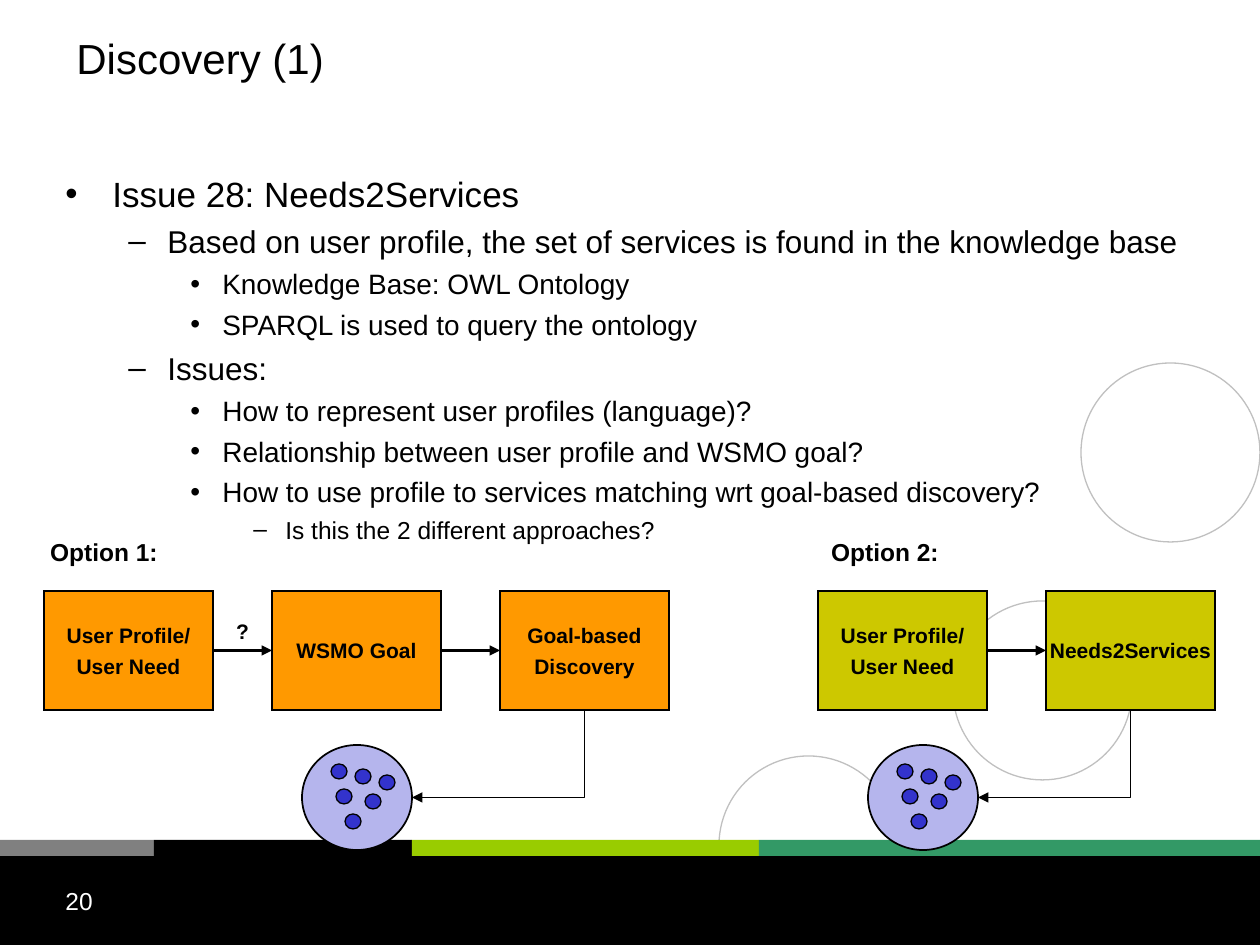
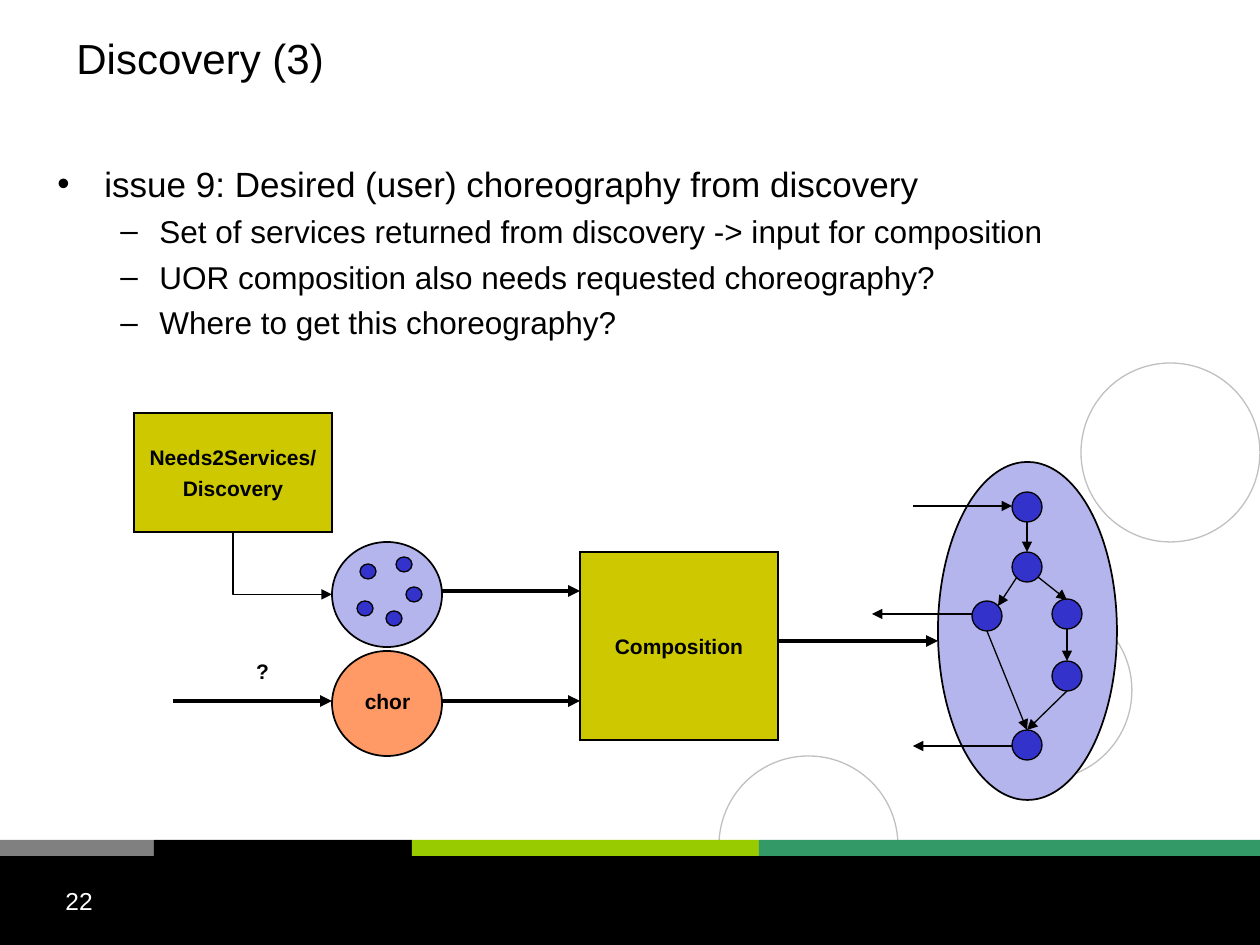
import pptx
import pptx.util
import pptx.dml.color
import pptx.enum.shapes
import pptx.enum.text
import pptx.oxml.ns
import lxml.etree

RGB = pptx.dml.color.RGBColor
Pt = pptx.util.Pt
KIND = pptx.enum.shapes.MSO_SHAPE
LINK = pptx.enum.shapes.MSO_CONNECTOR
ALIGN = pptx.enum.text.PP_ALIGN
ANCHOR = pptx.enum.text.MSO_ANCHOR
qn = pptx.oxml.ns.qn

BLACK = RGB(0, 0, 0)
WHITE = RGB(255, 255, 255)
GREY = RGB(128, 128, 128)
SILVER = RGB(192, 192, 192)
LIME = RGB(153, 204, 0)
GREEN = RGB(51, 153, 102)
ORANGE = RGB(255, 153, 0)
PEACH = RGB(255, 153, 102)
OLIVE = RGB(205, 200, 0)
LILAC = RGB(181, 181, 237)
BLUE = RGB(51, 51, 204)

FONT = "Arial"
TOP, LEFT, BOTTOM, RIGHT = range(4)
WIDE, HIGH = 1260, 945

# Frame shared by the slides
RINGS = [(719, 756), (953, 601), (1081, 363)]
RING = 179
BANDS = [(0, 154, GREY), (154, 258, BLACK), (412, 347, LIME), (759, 501, GREEN)]
TITLE = (64, 0, 987, 116)
NUMBER = (53, 880, 294, 65)

# Outline levels: mark, margin px, hang px, size pt, space before pt
LEVELS = [
    ("•", 47, 47, 20, 5),
    ("–", 102, 39, 18, 4.5),
    ("•", 157, 32, 16, 4),
    ("–", 220, 32, 14, 3.5),
]

NEEDS = {
    "title": "Discovery (1)",
    "number": "20",
    "place": (53, 166, 1153, 644),
    "points": [
        (0, "Issue 28: Needs2Services"),
        (1, "Based on user profile, the set of services is found in the knowledge base"),
        (2, "Knowledge Base: OWL Ontology"),
        (2, "SPARQL is used to query the ontology"),
        (1, "Issues:"),
        (2, "How to represent user profiles (language)?"),
        (2, "Relationship between user profile and WSMO goal?"),
        (2, "How to use profile to services matching wrt goal-based discovery?"),
        (3, "Is this the 2 different approaches?"),
    ],
}
CHOR = {
    "title": "Discovery (3)",
    "number": "22",
    "place": (45, 156, 1153, 644),
    "points": [
        (0, "issue 9: Desired (user) choreography from discovery"),
        (1, "Set of services returned from discovery -> input for composition"),
        (1, "UOR composition also needs requested choreography?"),
        (1, "Where to get this choreography?"),
    ],
}

# Options: label, label left, first box left, set left, fill, steps
OPTIONS = [
    ("Option 1:", 44, 44, 302, ORANGE,
     [["User Profile/", "User Need"], ["WSMO Goal"], ["Goal-based", "Discovery"]]),
    ("Option 2:", 825, 818, 868, OLIVE,
     [["User Profile/", "User Need"], ["Needs2Services"]]),
]
STEP_W, STEP_H, STEP_TOP, PITCH = 169, 119, 591, 228

SET_W, SET_H = 110, 105
DOT_W, DOT_H = 16, 15
SIX = [(53, 24), (34, 44), (63, 49), (43, 69), (77, 30), (29, 19)]
FIVE = [(64, 15), (25, 59), (54, 69), (74, 45), (28, 22)]

NODE = 30
NODES = [(1012, 552), (972, 601), (1052, 599), (1052, 661), (1012, 730), (1012, 492)]
THIN = [
    (1027, 522, 1027, 552), (1038, 577, 1067, 600), (1017, 577, 998, 606),
    (987, 631, 1027, 730), (1067, 629, 1067, 661), (1067, 691, 1027, 730),
    (913, 506, 1012, 506), (972, 614, 872, 614), (1012, 746, 913, 746),
]
THICK = [(441, 591, 580, 591), (441, 701, 580, 701), (173, 701, 332, 701), (779, 641, 938, 641)]


def px(n):
    return round(n * 914400 / 126)


def apply(thing, **values):
    for name, value in values.items():
        setattr(thing, name, value)


def write(shape, lines, size=12, bold=True, color=BLACK, align=ALIGN.CENTER,
          anchor=ANCHOR.MIDDLE, wrap=False):
    frame = shape.text_frame
    apply(frame, word_wrap=wrap, vertical_anchor=anchor)
    if not wrap:
        apply(frame, margin_left=0, margin_right=0)
    for i, line in enumerate(lines):
        para = frame.add_paragraph() if i else frame.paragraphs[0]
        para.text = line
        apply(para, alignment=align, space_before=Pt(size / 4 if i else 0))
        apply(para.font, name=FONT, size=Pt(size), bold=bold)
        para.font.color.rgb = color


def label(slide, place, line, **style):
    write(slide.shapes.add_textbox(*map(px, place)), [line], **style)


def draw(slide, kind, place, fill=None, edge=BLACK, width=0.75):
    shape = slide.shapes.add_shape(kind, *map(px, place))
    shape.shadow.inherit = False
    if fill is None:
        shape.fill.background()
    else:
        shape.fill.solid()
        shape.fill.fore_color.rgb = fill
    if edge is None:
        shape.line.fill.background()
    else:
        shape.line.color.rgb = edge
        shape.line.width = Pt(width)
    return shape


def box(slide, place, fill, lines):
    shape = draw(slide, KIND.RECTANGLE, place, fill, width=1.5)
    lxml.etree.SubElement(shape.line._get_or_add_ln(), qn("a:miter"), lim="800000")
    write(shape, lines)
    return shape


def arrow(slide, ends=(0, 0, 9, 9), width=0.75, kind=LINK.STRAIGHT, tip="tailEnd"):
    line = slide.shapes.add_connector(kind, *map(px, ends))
    line.line.color.rgb = BLACK
    line.line.width = Pt(width)
    lxml.etree.SubElement(line.line._get_or_add_ln(), qn("a:" + tip), type="triangle")
    lxml.etree.SubElement(line._element.spPr, qn("a:effectLst"))
    return line


def bend(slide, ring, side, step):
    """Arrow from the foot of a step, down and across to a side of a ring."""
    line = arrow(slide, kind=LINK.ELBOW, tip="headEnd")
    line.begin_connect(ring, side)
    line.end_connect(step, BOTTOM)
    # An ellipse has eight sites, so its sides are every second one
    line._element.find(".//" + qn("a:stCxn")).set("idx", str(side * 2))
    line._element.spPr.find(qn("a:prstGeom")).set("prst", "bentConnector2")


def cluster(slide, x, y, dots):
    ring = draw(slide, KIND.OVAL, (x, y, SET_W, SET_H), LILAC, width=1)
    for dx, dy in dots:
        draw(slide, KIND.OVAL, (x + dx, y + dy, DOT_W, DOT_H), BLUE)
    return ring


def outline(slide, place, points):
    frame = slide.shapes.add_textbox(*map(px, place)).text_frame
    frame.word_wrap = True
    for i, (level, line) in enumerate(points):
        mark, margin, hang, size, gap = LEVELS[level]
        para = frame.add_paragraph() if i else frame.paragraphs[0]
        para.text = line
        para.space_before = Pt(gap if i else 0)
        props = para._p.get_or_add_pPr()
        props.set("marL", str(px(margin)))
        props.set("indent", str(px(-hang)))
        lxml.etree.SubElement(props, qn("a:buFont"), typeface=FONT)
        lxml.etree.SubElement(props, qn("a:buChar"), char=mark)
        apply(para.font, name=FONT, size=Pt(size))
        para.font.color.rgb = BLACK


def start(deck, data):
    """Add a slide with its frame, title, outline and number."""
    slide = deck.slides.add_slide(deck.slide_layouts[6])
    for x, y in RINGS:
        draw(slide, KIND.OVAL, (x, y, RING, RING), edge=SILVER)
    draw(slide, KIND.RECTANGLE, (0, 850, WIDE, HIGH - 850), BLACK, None)
    for x, wide, fill in BANDS:
        draw(slide, KIND.RECTANGLE, (x, 840, wide, 16), fill, None)
    plain = dict(bold=False, align=ALIGN.LEFT, wrap=True)
    label(slide, TITLE, data["title"], size=24, **plain)
    outline(slide, data["place"], data["points"])
    label(slide, NUMBER, data["number"], size=14, color=WHITE, anchor=ANCHOR.TOP, **plain)
    return slide


def needs(deck):
    slide = start(deck, NEEDS)
    for name, name_x, left, set_x, fill, steps in OPTIONS:
        label(slide, (name_x, 532, 120, 40), name, size=14)
        row = [box(slide, (left + i * PITCH, STEP_TOP, STEP_W, STEP_H), fill, lines)
               for i, lines in enumerate(steps)]
        for here, there in zip(row, row[1:]):
            line = arrow(slide, width=1.5)
            line.begin_connect(here, RIGHT)
            line.end_connect(there, LEFT)
        bend(slide, cluster(slide, set_x, 745, SIX), RIGHT, row[-1])
    label(slide, (213, 611, 59, 40), "?")


def chor(deck):
    slide = start(deck, CHOR)
    source = box(slide, (134, 413, 198, 119), OLIVE, ["Needs2Services/", "Discovery"])
    bend(slide, cluster(slide, 332, 542, FIVE), LEFT, source)
    box(slide, (580, 552, 198, 188), OLIVE, ["Composition"])
    draw(slide, KIND.OVAL, (332, 651, SET_W, SET_H), PEACH, width=1)
    label(slide, (233, 651, 59, 40), "?")
    label(slide, (358, 681, 59, 40), "chor")
    draw(slide, KIND.OVAL, (938, 462, 179, 338), LILAC, width=1)
    for x, y in NODES:
        draw(slide, KIND.OVAL, (x, y, NODE, NODE), BLUE)
    for ends in THIN:
        arrow(slide, ends)
    for ends in THICK:
        arrow(slide, ends, 2.25)


def main():
    deck = pptx.Presentation()
    apply(deck, slide_width=px(WIDE), slide_height=px(HIGH))
    needs(deck)
    chor(deck)
    deck.save("out.pptx")


if __name__ == "__main__":
    main()
